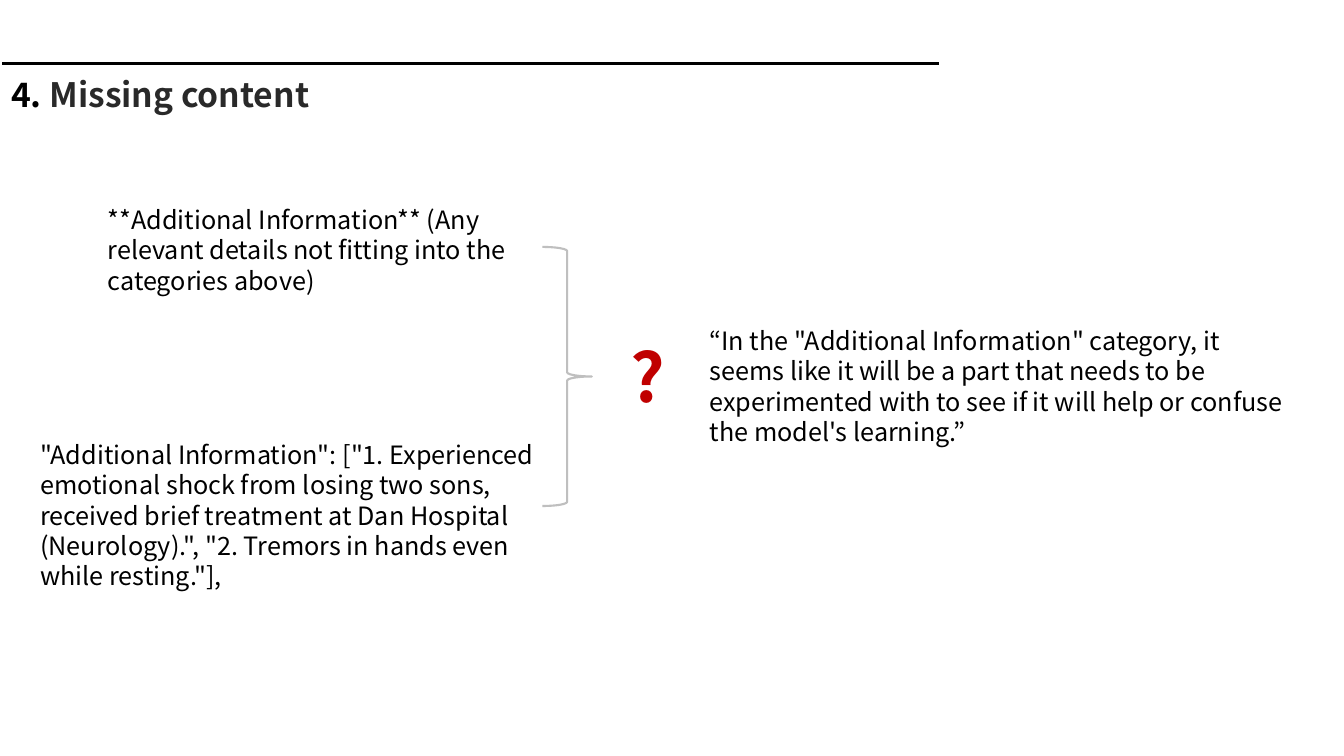
from lxml import etree
from pptx import Presentation
from pptx.dml.color import RGBColor
from pptx.enum.shapes import MSO_SHAPE as Shape
from pptx.oxml.ns import qn
from pptx.util import Inches, Pt

WIDTH, HEIGHT = 13.33, 7.5
FONT = "Noto Sans CJK KR"
BLACK, CHARCOAL, WHITE = "000000", "292929", "FFFFFF"
RED, GREY = "C00000", "BFBFBF"

NOTES = [
    ((0.97, 1.98, 4.72, 1.01),
     "**Additional Information** (Any relevant details not fitting into the categories above)"),
    ((0.3, 4.31, 5.33, 1.62),
     '"Additional Information": ["1. Experienced emotional shock from losing two sons, '
     'received brief treatment at Dan Hospital (Neurology).", '
     '"2. Tremors in hands even while resting."],'),
    ((6.94, 3.18, 5.92, 1.31),
     '“In the "Additional Information" category, it seems like it will be a part that needs '
     "to be experimented with to see if it will help or confuse the model's learning.”"),
]


def color(value):
    return RGBColor.from_string(value)


def box(*lengths):
    return [Inches(length) for length in lengths]


def style(font, size, bold=False, fill=BLACK):
    font.name, font.size, font.bold = FONT, Pt(size), bold
    font.color.rgb = color(fill)


def add_text(slide, area, text, size=18, bold=False, fill=BLACK):
    frame = slide.shapes.add_textbox(*box(*area)).text_frame
    frame.word_wrap = True
    paragraph = frame.paragraphs[0]
    paragraph.text = text
    style(paragraph.font, size, bold, fill)


def add_border(cell, side, value, points):
    line = etree.SubElement(cell._tc.get_or_add_tcPr(), qn(f"a:ln{side}"), w=str(Pt(points)))
    fill = etree.SubElement(line, qn("a:solidFill"))
    etree.SubElement(fill, qn("a:srgbClr"), val=value)


def add_heading(slide, area, number, title):
    table = slide.shapes.add_table(1, 1, *box(*area)).table
    cell = table.cell(0, 0)
    for side, value, points in (("L", WHITE, 1), ("R", WHITE, 1), ("T", BLACK, 3), ("B", WHITE, 3)):
        add_border(cell, side, value, points)
    cell.fill.solid()
    cell.fill.fore_color.rgb = color(WHITE)
    paragraph = cell.text_frame.paragraphs[0]
    for text, fill in ((number, BLACK), (title, CHARCOAL)):
        run = paragraph.add_run()
        run.text = text
        style(run.font, 24, True, fill)


def add_brace(slide, area):
    brace = slide.shapes.add_shape(Shape.RIGHT_BRACE, *box(*area))
    brace.shadow.inherit = False
    brace.fill.background()
    brace.line.color.rgb = color(GREY)
    brace.line.width = Pt(1.5)


def main():
    presentation = Presentation()
    presentation.slide_width, presentation.slide_height = box(WIDTH, HEIGHT)
    slide = presentation.slides.add_slide(presentation.slide_layouts[6])
    add_heading(slide, (0.01, 0.63, 9.31, 0.5), "4.", " Missing content")
    for area, text in NOTES:
        add_text(slide, area, text)
    add_text(slide, (6.15, 3.28, 0.52, 0.91), "?", 48, True, RED)
    add_brace(slide, (5.38, 2.45, 0.49, 2.57))
    presentation.save("out.pptx")


if __name__ == "__main__":
    main()
